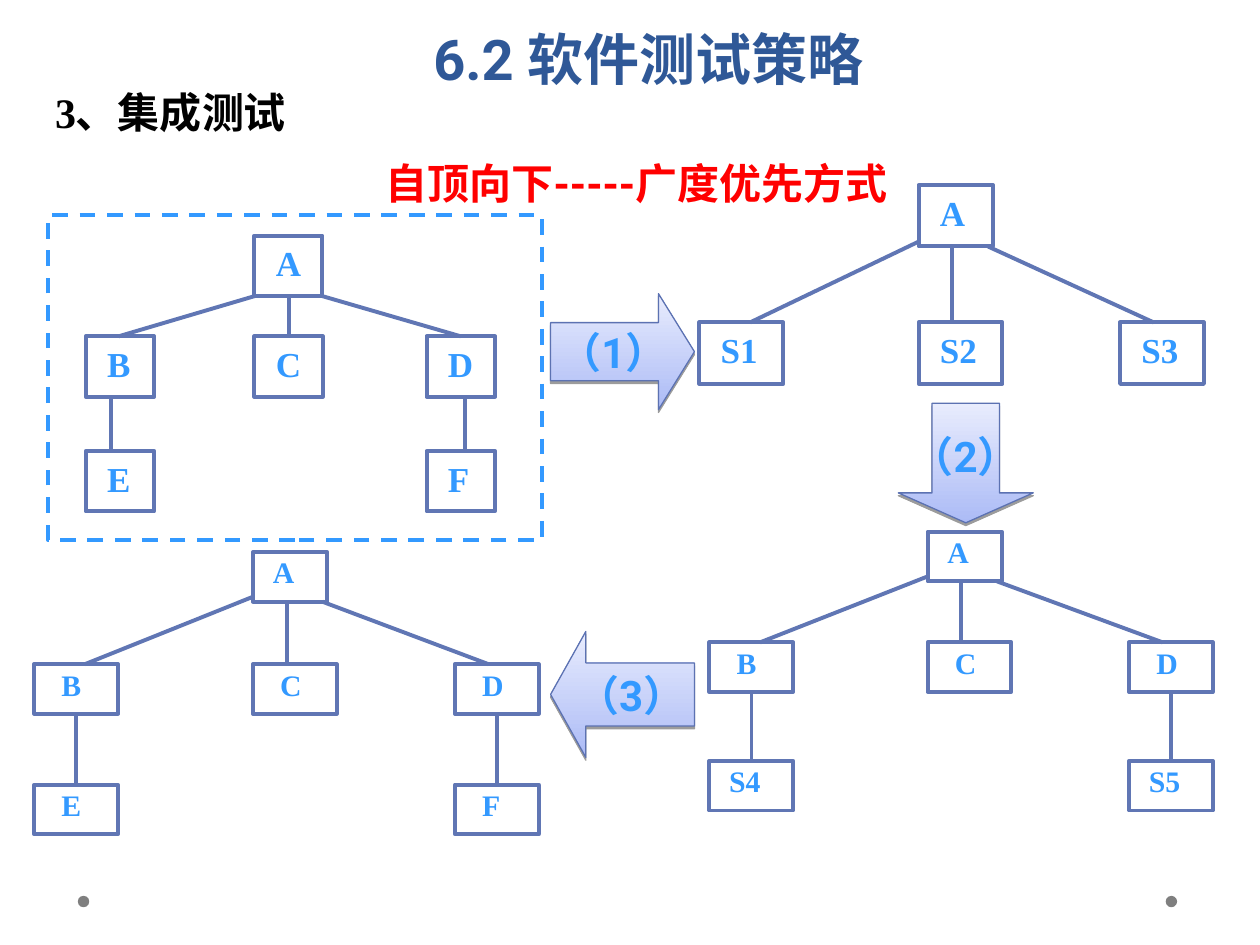
import dataclasses
import typing

import lxml.etree
import pptx
import pptx.dml.color
import pptx.enum.dml
import pptx.enum.shapes
import pptx.enum.text
import pptx.oxml.ns
import pptx.util

Cm = pptx.util.Cm
Pt = pptx.util.Pt
Shape = pptx.enum.shapes.MSO_SHAPE
Align = pptx.enum.text.PP_ALIGN
Anchor = pptx.enum.text.MSO_ANCHOR


def rgb(value: str) -> pptx.dml.color.RGBColor:
    return pptx.dml.color.RGBColor.from_string(value)


@dataclasses.dataclass(frozen=True)
class Theme:
    serif: str = "Times New Roman"
    sans: str = "Roboto"
    white: str = "FFFFFF"
    black: str = "000000"
    red: str = "FF0000"
    navy: str = "2F5897"
    label: str = "3399FF"
    line: str = "6076B4"
    arrow_line: str = "5C72B2"
    arrow_dark: str = "ACBBF6"
    arrow_light: str = "E8ECFD"
    dot: str = "7F7F7F"
    chapter_size: float = 32
    heading_size: float = 24
    line_width: float = 2.25
    inset_x: float = 0.25


THEME = Theme()


@dataclasses.dataclass(frozen=True)
class Tree:
    """Root above three children; leaves hang under the outer two. Lengths in cm."""
    columns: tuple[float, float, float]
    rows: tuple[float, ...]
    children: tuple[str, str, str]
    leaves: tuple[str, ...] = ()
    root_width: float = 1.5
    node_width: float = 1.69
    node_height: float = 1.0
    size: float = 17
    spacing: float = 0.9
    indent: float = 0.15          # before the root and two-character labels
    letter_indent: float = 0.3    # before single letters
    root_inset: float = 0.1       # outer links start this far in from the corners
    child_ends: tuple[float, float, float] = (1.02, 0.68, 0.68)
    leaf_ends: tuple[float, float] = (0.85, 0.85)


TREES = (
    Tree((14.1, 18.52, 22.58), (3.73, 6.5), ("S1", "S2", "S3"),
         node_height=1.24, size=20, spacing=1.0, indent=0.18),
    Tree((14.3, 18.7, 22.76), (10.72, 12.95, 15.34), ("B", "C", "D"), ("S4", "S5")),
    Tree((0.69, 5.1, 9.17), (11.13, 13.39, 15.82), ("B", "C", "D"), ("E", "F")),
    Tree((1.73, 5.13, 8.6), (4.75, 6.78, 9.09), ("B", "C", "D"), ("E", "F"),
         root_width=1.37, node_width=1.38, node_height=1.22, size=20, spacing=1.0,
         indent=0.18, letter_indent=0.18, root_inset=0,
         child_ends=(0.66, 0.69, 0.69), leaf_ends=(0.51, 0.78)),
)


class Arrow(typing.NamedTuple):
    kind: Shape
    box: tuple[float, float, float, float]
    head: float
    text: str


ARROWS = (
    Arrow(Shape.RIGHT_ARROW, (11.1, 5.92, 2.9, 2.34), 0.31, "（1）"),
    Arrow(Shape.DOWN_ARROW, (18.11, 8.13, 2.72, 2.41), 0.25, "（2）"),
    Arrow(Shape.LEFT_ARROW, (11.1, 12.73, 2.9, 2.54), 0.28, "（3）"),
)


def write(shape, text: str, font: str, size: float, color: str,
          align=Align.LEFT, anchor=Anchor.TOP, spacing=None, wrap: bool = True) -> None:
    frame = shape.text_frame
    frame.auto_size = pptx.enum.text.MSO_AUTO_SIZE.NONE
    frame.word_wrap = wrap
    frame.vertical_anchor = anchor
    paragraph = frame.paragraphs[0]
    paragraph.text = text
    paragraph.alignment = align
    paragraph.line_spacing = spacing
    paragraph.font.name = font
    paragraph.font.size = Pt(size)
    paragraph.font.bold = True
    paragraph.font.color.rgb = rgb(color)


def add_outline(shapes, kind: Shape, box: tuple, line: str, width: float):
    shape = shapes.add_shape(kind, *map(Cm, box))
    shape.shadow.inherit = False
    shape.line.color.rgb = rgb(line)
    shape.line.width = Pt(width)
    return shape


def add_node(shapes, tree: Tree, left: float, top: float, width: float,
             text: str, indent: float) -> None:
    shape = add_outline(shapes, Shape.RECTANGLE, (left, top, width, tree.node_height),
                        THEME.line, THEME.line_width)
    shape.fill.solid()
    shape.fill.fore_color.rgb = rgb(THEME.white)
    write(shape, text, THEME.serif, tree.size, THEME.label, spacing=tree.spacing)
    shape.text_frame.margin_left = Cm(THEME.inset_x + indent)


def add_link(shapes, *ends: float) -> None:
    link = shapes.add_connector(pptx.enum.shapes.MSO_CONNECTOR.STRAIGHT, *map(Cm, ends))
    link.line.color.rgb = rgb(THEME.line)
    link.line.width = Pt(THEME.line_width)
    lxml.etree.SubElement(link._element.spPr, pptx.oxml.ns.qn("a:effectLst"))


def add_tree(slide, tree: Tree) -> None:
    shapes = slide.shapes.add_group_shape().shapes
    left, top = tree.columns[1], tree.rows[0]
    bottom = top + tree.node_height
    add_node(shapes, tree, left, top, tree.root_width, "A", tree.indent)

    # Children and their links to the root
    starts = ((left, bottom - tree.root_inset),
              (left + tree.child_ends[1], bottom),
              (left + tree.root_width - tree.root_inset, bottom))
    for column, text, start, end in zip(tree.columns, tree.children, starts, tree.child_ends):
        indent = tree.letter_indent if len(text) == 1 else tree.indent
        add_node(shapes, tree, column, tree.rows[1], tree.node_width, text, indent)
        add_link(shapes, *start, column + end, tree.rows[1])

    # Leaves under the outer children
    for column, text, end in zip(tree.columns[::2], tree.leaves, tree.leaf_ends):
        indent = tree.letter_indent if len(text) == 1 else tree.indent
        add_node(shapes, tree, column, tree.rows[2], tree.node_width, text, indent)
        add_link(shapes, column + end, tree.rows[1] + tree.node_height,
                 column + end, tree.rows[2])


def add_arrow(slide, arrow: Arrow) -> None:
    shape = add_outline(slide.shapes, arrow.kind, arrow.box, THEME.arrow_line, 0.75)
    shape.adjustments[1] = arrow.head
    shape.fill.gradient()
    shape.fill.gradient_angle = 90
    for stop, color in zip(shape.fill.gradient_stops, (THEME.arrow_dark, THEME.arrow_light)):
        stop.color.rgb = rgb(color)
    write(shape, arrow.text, THEME.sans, THEME.heading_size, THEME.label,
          Align.CENTER, Anchor.MIDDLE, wrap=False)
    # Soft drop shadow below the arrow
    qn = pptx.oxml.ns.qn
    effects = shape._element.spPr.find(qn("a:effectLst"))
    shadow = lxml.etree.SubElement(effects, qn("a:outerShdw"), blurRad="0",
                                   dist=str(Pt(1.6)), dir="5400000", rotWithShape="0")
    color = lxml.etree.SubElement(shadow, qn("a:srgbClr"), val=THEME.black)
    lxml.etree.SubElement(color, qn("a:alpha"), val="38000")


def main() -> None:
    presentation = pptx.Presentation()
    presentation.slide_width, presentation.slide_height = Cm(25.4), Cm(19.05)
    slide = presentation.slides.add_slide(presentation.slide_layouts[5])

    # Slide title
    title = slide.shapes.title
    title.left, title.top, title.width, title.height = map(Cm, (1.4, 2.29, 22.86, 2.03))
    write(title, "自顶向下-----广度优先方式", THEME.sans, THEME.heading_size, THEME.red,
          Align.CENTER, Anchor.BOTTOM, Pt(58))

    # Footer dots
    for left in (23.5, 1.57):
        dot = slide.shapes.add_shape(Shape.OVAL, Cm(left), Cm(18.06), Cm(0.23), Cm(0.23))
        dot.shadow.inherit = False
        dot.fill.solid()
        dot.fill.fore_color.rgb = rgb(THEME.dot)
        dot.line.fill.background()

    # Integration steps
    for tree in TREES:
        add_tree(slide, tree)
    for arrow in ARROWS:
        add_arrow(slide, arrow)

    # Dashed frame around the starting tree
    frame = add_outline(slide.shapes, Shape.RECTANGLE, (0.97, 4.34, 9.96, 6.55),
                        THEME.label, THEME.line_width)
    frame.fill.background()
    frame.line.dash_style = pptx.enum.dml.MSO_LINE.DASH

    # Chapter and section headings
    chapter = slide.shapes.add_textbox(Cm(1.65), Cm(-0.33), Cm(22.86), Cm(2.39))
    write(chapter, "6.2 软件测试策略", THEME.sans, THEME.chapter_size, THEME.navy,
          Align.CENTER, spacing=Pt(58))
    section = slide.shapes.add_textbox(Cm(0.86), Cm(1.32), Cm(22.91), Cm(1.57))
    write(section, "3、集成测试", THEME.serif, THEME.heading_size, THEME.black, spacing=1.3)

    presentation.save("out.pptx")


if __name__ == "__main__":
    main()
